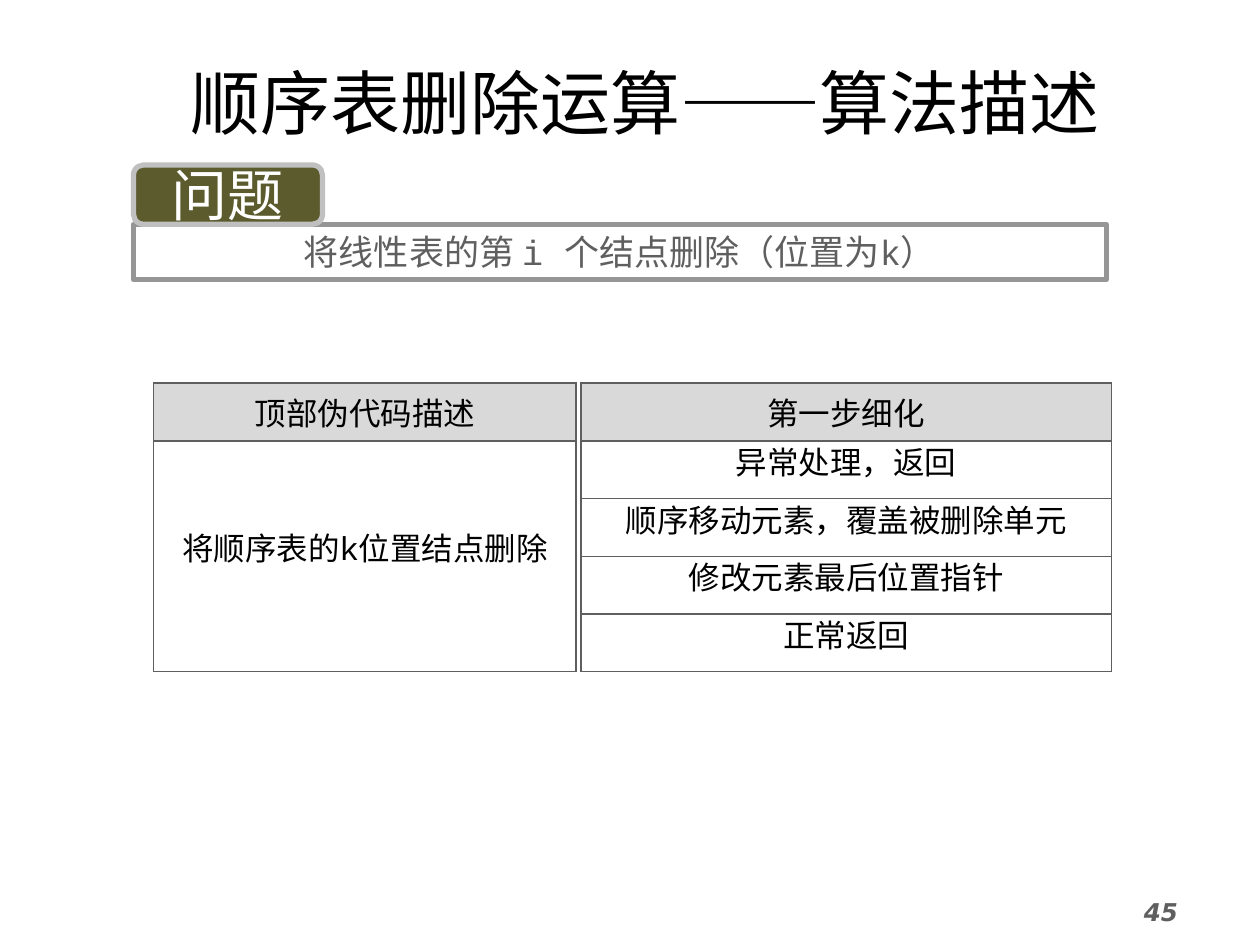
from dataclasses import dataclass

from lxml.etree import SubElement
from pptx import Presentation
from pptx.dml.color import RGBColor
from pptx.enum.shapes import MSO_SHAPE as Shape
from pptx.enum.text import MSO_ANCHOR as Anchor, MSO_AUTO_SIZE as AutoSize, PP_ALIGN as Align
from pptx.oxml import parse_xml
from pptx.oxml.ns import nsdecls, qn
from pptx.util import Inches, Pt


@dataclass(frozen=True)
class Theme:
    """Colours, fonts and type sizes of the slide."""
    black: str = "000000"
    white: str = "FFFFFF"
    gray: str = "5F5F5F"
    frame: str = "969696"
    header: str = "D9D9D9"
    olive: str = "5C5B2E"
    silver: str = "C0C0C0"
    code: str = "Courier New"
    mono: str = "Noto Sans Mono"
    chinese: str = "Noto Sans CJK SC"
    number: str = "DejaVu Sans"
    title_size: int = 40
    badge_size: int = 32
    problem_size: int = 20
    table_size: int = 18
    number_size: int = 14


THEME = Theme()


def rgb(colour):
    """Return a colour object for a hex string."""
    return RGBColor.from_string(colour)


def style_font(font, properties, name, size, colour):
    """Set a font and its Chinese companion face."""
    font.name, font.size = name, Pt(size)
    font.color.rgb = rgb(colour)
    SubElement(properties, qn("a:ea"), typeface=THEME.chinese)


def write(paragraph, text, name, size, colour, align=Align.CENTER):
    """Fill a paragraph with text in one style."""
    paragraph.text, paragraph.alignment = text, align
    font = paragraph.font
    font.size = Pt(size)
    style_font(font, paragraph._p.pPr.find(qn("a:defRPr")), name, size, colour)


def add_title(slide, *pieces):
    """Place the title, made of text and font pairs."""
    title = slide.shapes.title
    title.left, title.top = Inches(1.18), Inches(0.08)
    title.width, title.height = Inches(7.88), Inches(1.45)
    frame = title.text_frame
    frame.auto_size, frame.vertical_anchor = AutoSize.NONE, Anchor.MIDDLE
    paragraph = frame.paragraphs[0]
    paragraph.alignment = Align.CENTER
    for text, name in pieces:
        run = paragraph.add_run()
        run.text = text
        style_font(run.font, run._r.get_or_add_rPr(), name, THEME.title_size, THEME.black)


def add_box(slide, kind, place, line, fill=None):
    """Add an outlined shape, filled or hollow."""
    shape = slide.shapes.add_shape(kind, *map(Inches, place))
    shape.shadow.inherit = False
    shape.line.color.rgb, shape.line.width = rgb(line), Pt(3)
    if fill:
        shape.fill.solid()
        shape.fill.fore_color.rgb = rgb(fill)
    else:
        shape.fill.background()
    return shape


def add_problem(slide, label, text):
    """Add the problem statement with its badge on top."""
    box = add_box(slide, Shape.RECTANGLE, (1.06, 1.78, 7.72, 0.44), THEME.frame)
    box.text_frame.vertical_anchor = Anchor.TOP
    write(box.text_frame.paragraphs[0], text, THEME.code, THEME.problem_size, THEME.gray)
    badge = add_box(slide, Shape.ROUNDED_RECTANGLE, (1.06, 1.31, 1.5, 0.47),
                    THEME.silver, THEME.olive)
    badge.text_frame.word_wrap = False
    badge.text_frame.vertical_anchor = Anchor.MIDDLE
    write(badge.text_frame.paragraphs[0], label, THEME.chinese, THEME.badge_size, THEME.white)


def style_cell(cell, text, is_header):
    """Write a table cell and give it fill, margins and borders."""
    cell.margin_left = cell.margin_right = Inches(0.07)
    cell.margin_top = cell.margin_bottom = 0
    cell.vertical_anchor = Anchor.MIDDLE
    paragraph = cell.text_frame.paragraphs[0]
    write(paragraph, text, THEME.mono, THEME.table_size, THEME.black)
    if not is_header:
        paragraph.line_spacing = Pt(15.6)
    cell.fill.solid()
    cell.fill.fore_color.rgb = rgb(THEME.header if is_header else THEME.white)
    properties = cell._tc.get_or_add_tcPr()
    for index, side in enumerate(("lnL", "lnR", "lnT", "lnB")):
        properties.insert(index, parse_xml(
            f'<a:{side} {nsdecls("a")} w="{Pt(1)}"><a:solidFill>'
            f'<a:srgbClr val="{THEME.gray}"/></a:solidFill></a:{side}>'))


def add_column_table(slide, left, width, header, steps):
    """Add a one-column table whose steps share the body height."""
    top, header_height, body_height = 3.04, 0.46, 1.83
    texts = [header, *steps]
    table = slide.shapes.add_table(len(texts), 1, Inches(left), Inches(top), Inches(width),
                                   Inches(header_height + body_height)).table
    table.first_row = table.horz_banding = False
    for index, text in enumerate(texts):
        height = body_height / len(steps) if index else header_height
        table.rows[index].height = Inches(height)
        style_cell(table.cell(index, 0), text, index == 0)


def add_page_number(slide, text):
    """Add the page number in the bottom corner."""
    box = slide.shapes.add_textbox(Inches(8.98), Inches(7.07), Inches(1.02), Inches(0.43))
    box.text_frame.word_wrap = True
    paragraph = box.text_frame.paragraphs[0]
    write(paragraph, text, THEME.number, THEME.number_size, THEME.gray, Align.LEFT)
    paragraph.font.bold = paragraph.font.italic = True


def main():
    """Build and save the slide."""
    presentation = Presentation()
    presentation.slide_width, presentation.slide_height = Inches(10), Inches(7.5)
    slide = presentation.slides.add_slide(presentation.slide_layouts[5])
    add_title(slide, ("顺序表删除运算", THEME.code), ("——算法描述", THEME.chinese))
    add_problem(slide, "问题", "将线性表的第 i 个结点删除（位置为k）")
    add_column_table(slide, 1.22, 3.35, "顶部伪代码描述", ["将顺序表的k位置结点删除"])
    add_column_table(slide, 4.61, 4.21, "第一步细化", [
        "异常处理，返回",
        "顺序移动元素，覆盖被删除单元",
        "修改元素最后位置指针",
        "正常返回",
    ])
    add_page_number(slide, "45")
    presentation.save("out.pptx")


if __name__ == "__main__":
    main()
